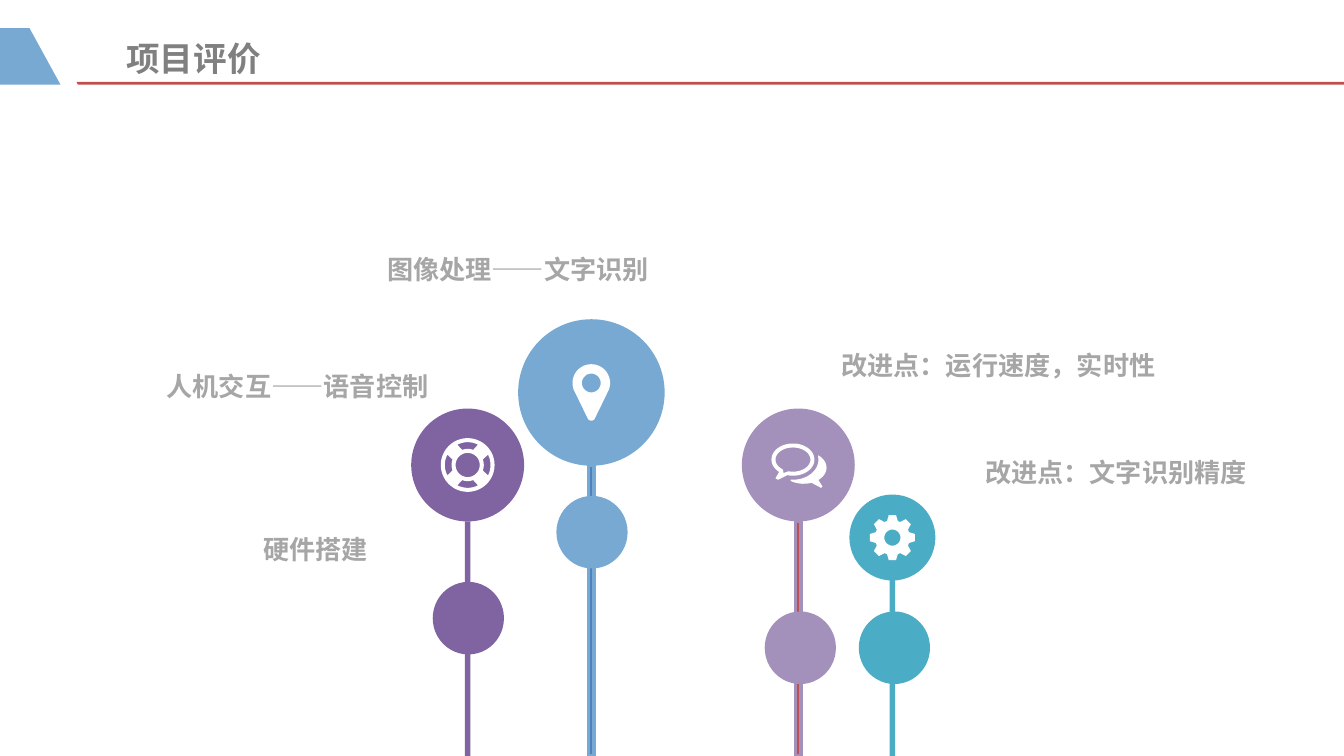
from dataclasses import dataclass
from math import cos, radians, sin
from typing import Callable

from pptx import Presentation
from pptx.dml.color import RGBColor
from pptx.enum.shapes import MSO_SHAPE
from pptx.enum.text import MSO_ANCHOR, MSO_AUTO_SIZE, PP_ALIGN
from pptx.util import Inches, Pt

Point = tuple[float, float]
Contour = list[Point]


@dataclass(frozen=True)
class Theme:
    blue: str = "77A9D3"
    deep_blue: str = "4F81BD"
    red: str = "C0504D"
    purple: str = "8064A2"
    lilac: str = "A491BB"
    teal: str = "4BACC6"
    white: str = "FFFFFF"
    title_gray: str = "808080"
    label_gray: str = "A6A6A6"
    title_font: str = "Noto Sans CJK SC"
    label_font: str = "Arial"
    title_size: int = 18
    label_size: int = 14


THEME = Theme()
PAGE_WIDTH = 10
PAGE_HEIGHT = PAGE_WIDTH * 9 / 16
STEM_WIDTH = 0.04
DOT_WIDTH, DOT_HEIGHT = 0.53, 0.54


# Icon outlines, each a list of closed contours around a centre
def arc(x: float, y: float, rx: float, ry: float, start: float = 0, end: float = 360) -> Contour:
    steps = max(6, round(abs(end - start) / 8))
    angles = [radians(start + (end - start) * i / steps) for i in range(steps + 1)]
    return [(x + rx * cos(a), y + ry * sin(a)) for a in angles]


def lifebuoy(x: float, y: float) -> list[Contour]:
    windows = [
        arc(x, y, 0.17, 0.17, mid - 27, mid + 27) + arc(x, y, 0.12, 0.12, mid + 20, mid - 20)
        for mid in range(0, 360, 90)
    ]
    return [arc(x, y, 0.2, 0.2), arc(x, y, 0.09, 0.09), *windows]


def map_pin(x: float, y: float) -> list[Contour]:
    head_y = y - 0.07
    outline = arc(x, head_y, 0.14, 0.14, 160, 380) + arc(x, y + 0.18, 0.03, 0.03, 20, 160)
    return [outline, arc(x, head_y, 0.07, 0.07)]


def speech_bubbles(x: float, y: float) -> list[Contour]:
    front_x, front_y = x - 0.04, y - 0.04
    front = arc(front_x, front_y, 0.16, 0.12, 130, 465) + [(x - 0.15, y + 0.11), (x - 0.17, y + 0.1)]
    inside = arc(front_x, front_y, 0.13, 0.09, 125, 465) + [(x - 0.11, y + 0.06)]
    back = (
        arc(front_x, front_y, 0.19, 0.15, 95, -10)
        + arc(x + 0.04, y + 0.02, 0.17, 0.12, -50, 50)
        + [(x + 0.18, y + 0.16), (x + 0.17, y + 0.17), (x + 0.15, y + 0.16)]
        + arc(x + 0.04, y + 0.02, 0.17, 0.12, 70, 125)
    )
    return [front, inside, back]


def gear(x: float, y: float) -> list[Contour]:
    profile = [(-18, 0.13), (-9, 0.17), (9, 0.17), (18, 0.13)]
    teeth = [
        (x + radius * cos(radians(mid + turn)), y + radius * sin(radians(mid + turn)))
        for mid in range(0, 360, 45)
        for turn, radius in profile
    ]
    return [teeth, arc(x, y, 0.06, 0.06)]


@dataclass(frozen=True)
class Pole:
    x: float
    head_y: float
    head_size: float
    stem_top: float
    dot_left: float
    dot_top: float
    color: str
    icon: Callable[[float, float], list[Contour]]
    stem_fill: str
    outlined: bool = False


@dataclass(frozen=True)
class Label:
    text: str
    left: float
    top: float
    width: float


POLES = [
    Pole(4.4, 2.92, 1.09, 3.46, 4.14, 3.69, THEME.blue, map_pin, THEME.deep_blue, True),
    Pole(5.94, 3.46, 0.84, 3.88, 5.69, 4.55, THEME.lilac, speech_bubbles, THEME.red, True),
    Pole(3.48, 3.46, 0.84, 3.88, 3.22, 4.33, THEME.purple, lifebuoy, THEME.purple),
    Pole(6.64, 4, 0.64, 4.26, 6.39, 4.55, THEME.teal, gear, THEME.teal),
]
LABELS = [
    Label("图像处理——文字识别", 2.87, 1.84, 1.96),
    Label("人机交互——语音控制", 1.23, 2.71, 1.96),
    Label("硬件搭建", 1.95, 3.92, 0.79),
    Label("改进点：运行速度，实时性", 6.24, 2.55, 2.36),
    Label("改进点：文字识别精度", 7.32, 3.35, 1.96),
]


def paint(shape, color: str) -> None:
    shape.shadow.inherit = False
    shape.fill.solid()
    shape.fill.fore_color.rgb = RGBColor.from_string(color)
    shape.line.fill.background()


def add_preset(shapes, kind: MSO_SHAPE, left: float, top: float, width: float, height: float, color: str):
    shape = shapes.add_shape(kind, Inches(left), Inches(top), Inches(width), Inches(height))
    paint(shape, color)
    return shape


def add_outline(shapes, contours: list[Contour], color: str) -> None:
    first, *others = [[(Inches(x), Inches(y)) for x, y in contour] for contour in contours]
    builder = shapes.build_freeform(*first[0])
    builder.add_line_segments(first[1:], close=True)
    for contour in others:
        builder.move_to(*contour[0])
        builder.add_line_segments(contour[1:], close=True)
    paint(builder.convert_to_shape(), color)


def add_stem(shapes, pole: Pole) -> None:
    stem = add_preset(shapes, MSO_SHAPE.RECTANGLE, pole.x - STEM_WIDTH / 2, pole.stem_top,
                      STEM_WIDTH, PAGE_HEIGHT - pole.stem_top, pole.stem_fill)
    if pole.outlined:
        stem.line.color.rgb = RGBColor.from_string(pole.color)
        stem.line.width = Pt(2)


def add_head(shapes, pole: Pole) -> None:
    group = shapes.add_group_shape()
    size = pole.head_size
    add_preset(group.shapes, MSO_SHAPE.OVAL, pole.x - size / 2, pole.head_y - size / 2,
               size, size, pole.color)
    add_outline(group.shapes, pole.icon(pole.x, pole.head_y), THEME.white)


def add_text(shapes, text: str, left: float, top: float, width: float, height: float,
             font: str, size: int, color: str):
    box = shapes.add_textbox(Inches(left), Inches(top), Inches(width), Inches(height))
    frame = box.text_frame
    frame.vertical_anchor = MSO_ANCHOR.MIDDLE
    frame.margin_left = frame.margin_right = 0
    para = frame.paragraphs[0]
    para.text = text
    para.font.name, para.font.size, para.font.bold = font, Pt(size), True
    para.font.color.rgb = RGBColor.from_string(color)
    return frame


def add_label(shapes, label: Label) -> None:
    frame = add_text(shapes, label.text, label.left, label.top, label.width, 0.28,
                     THEME.label_font, THEME.label_size, THEME.label_gray)
    frame.margin_top = frame.margin_bottom = 0
    frame.word_wrap = False
    frame.auto_size = MSO_AUTO_SIZE.SHAPE_TO_FIT_TEXT
    frame.paragraphs[0].alignment = PP_ALIGN.RIGHT
    frame.paragraphs[0].line_spacing = 1.2


def main() -> None:
    deck = Presentation()
    deck.slide_width, deck.slide_height = Inches(PAGE_WIDTH), Inches(PAGE_HEIGHT)
    page = deck.slides.add_slide(deck.slide_layouts[6])
    shapes = page.shapes

    # Header
    add_outline(shapes, [[(0.57, 0.61), (10, 0.61), (10, 0.63), (0.58, 0.63)]], THEME.red)
    add_outline(shapes, [[(0.22, 0.21), (0.45, 0.63), (0, 0.63), (0, 0.21)]], THEME.blue)
    title = add_text(shapes, "项目评价", 0.94, 0.22, 2.33, 0.42,
                     THEME.title_font, THEME.title_size, THEME.title_gray)
    title.word_wrap = True

    # Poles, layer by layer
    for pole in POLES:
        add_stem(shapes, pole)
    for pole in POLES:
        add_preset(shapes, MSO_SHAPE.OVAL, pole.dot_left, pole.dot_top, DOT_WIDTH, DOT_HEIGHT, pole.color)
    for pole in POLES:
        add_head(shapes, pole)

    # Labels
    for label in LABELS:
        add_label(shapes, label)

    deck.save("out.pptx")


if __name__ == "__main__":
    main()
